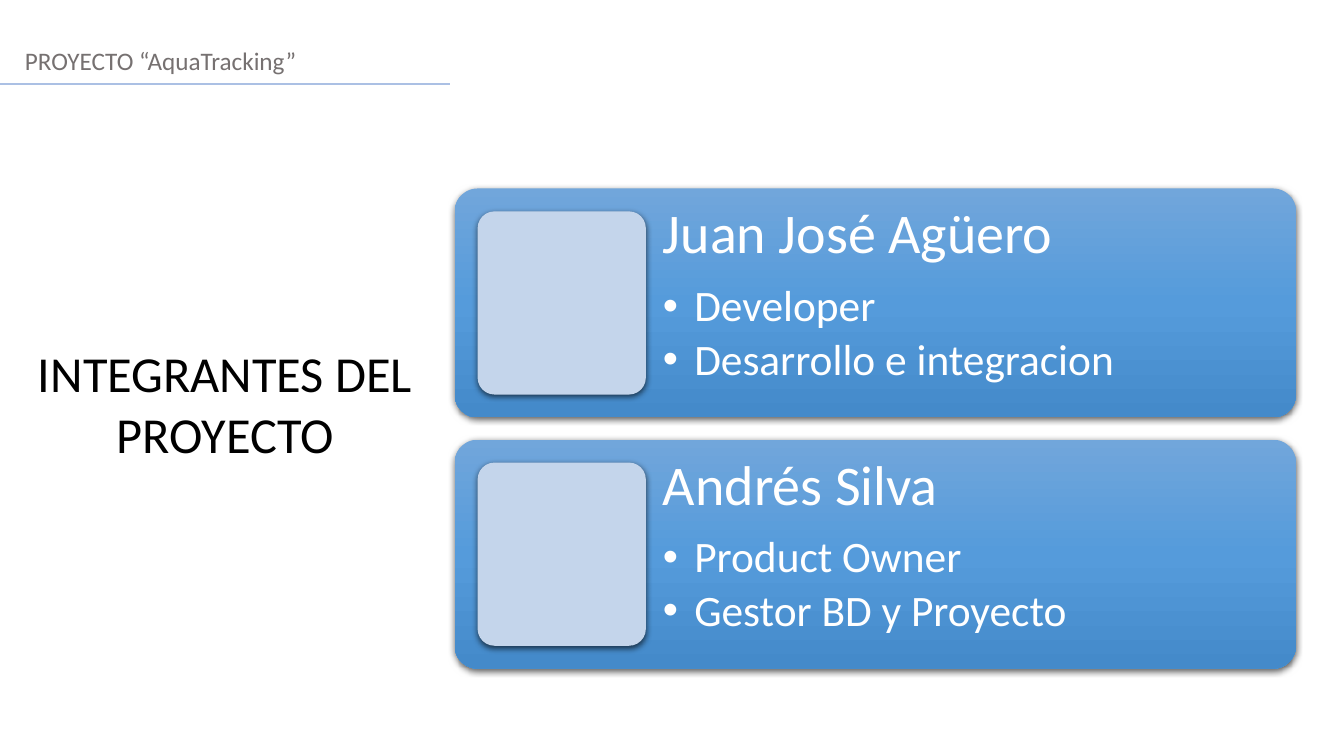
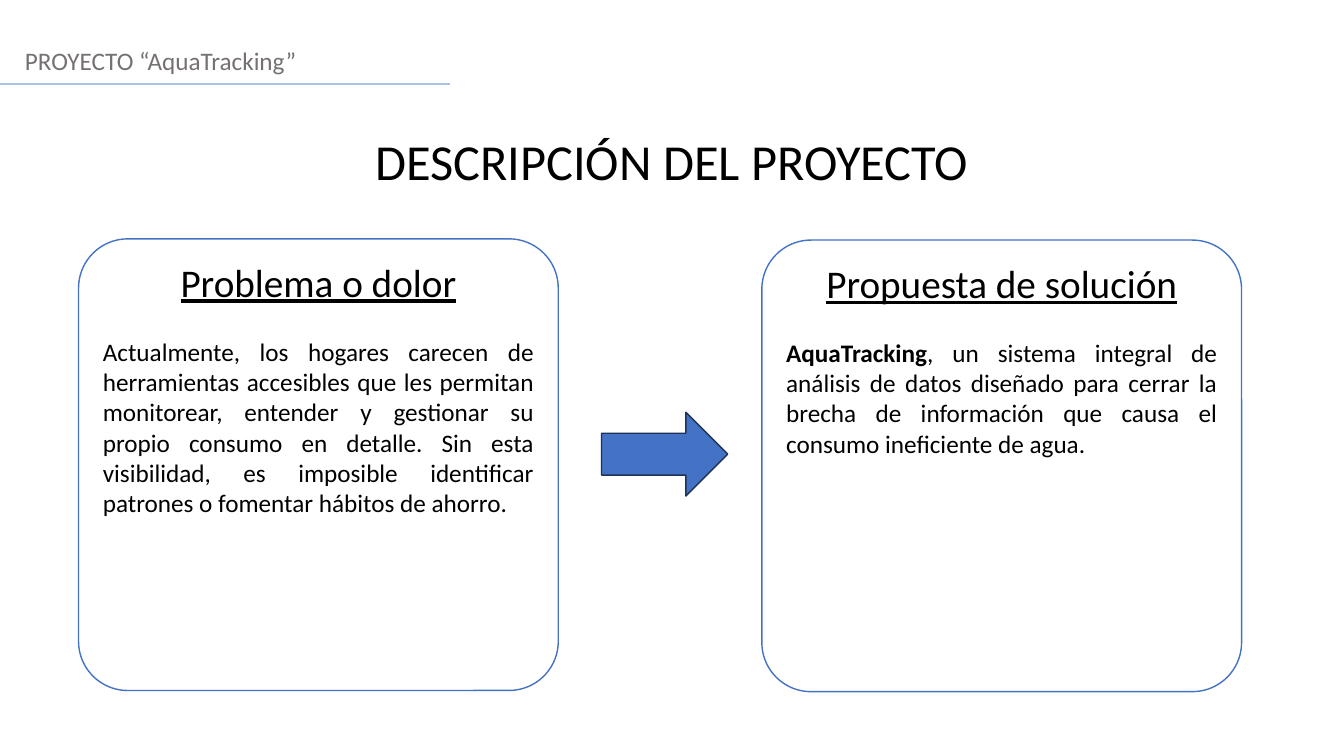
from copy import deepcopy

from lxml.etree import SubElement
from pptx import Presentation
from pptx.dml.color import RGBColor
from pptx.enum.shapes import MSO_CONNECTOR as Link, MSO_SHAPE as Shape
from pptx.enum.text import MSO_ANCHOR as Anchor, MSO_AUTO_SIZE as Fit, PP_ALIGN as Align
from pptx.oxml.ns import qn
from pptx.util import Cm, Pt

FONT = "Calibri"
WIDE, HIGH = 33.87, 19.05
HUES = {
    "ink": "000000", "white": "FFFFFF", "grey": "767171", "rule": "ABC0E4",
    "blue": "4472C4", "navy": "1E3256", "photo": "C4D5EB",
}
BLEND = ["71A6DB", "559BDB", "448ACA"]

HEADER = "PROYECTO “AquaTracking”"
TEAM = {
    "title": "INTEGRANTES DEL PROYECTO",
    "people": [
        ("Juan José Agüero", ["Developer", "Desarrollo e integracion"]),
        ("Andrés Silva", ["Product Owner", "Gestor BD y Proyecto"]),
    ],
}
ABOUT = {
    "title": "DESCRIPCIÓN DEL PROYECTO",
    "panels": [
        ("Problema o dolor", [
            ("Actualmente, los hogares carecen de herramientas accesibles que les "
             "permitan monitorear, entender y gestionar su propio consumo en detalle. "
             "Sin esta visibilidad, es imposible identificar patrones o fomentar "
             "hábitos de ahorro.", False),
        ]),
        ("Propuesta de solución", [
            ("AquaTracking", True),
            (", un sistema integral de análisis de datos diseñado para cerrar la brecha "
             "de información que causa el consumo ineficiente de agua.", False),
        ]),
    ],
}


def rgb(name):
    return RGBColor.from_string(HUES.get(name, name))


def place(item, x, y, w, h):
    item.left, item.top, item.width, item.height = map(Cm, (x, y, w, h))


def write(par, text, size, hue="ink", bold=False, under=False):
    run = par.add_run()
    run.text = text
    font = run.font
    font.name, font.size, font.bold, font.underline = FONT, Pt(size), bold, under
    font.color.rgb = rgb(hue)


def add_shape(slide, kind, box, fill=None, line=None):
    item = slide.shapes.add_shape(kind, *map(Cm, box))
    item.shadow.inherit = False
    if fill:
        item.fill.solid()
        item.fill.fore_color.rgb = rgb(fill)
    if line:
        item.line.color.rgb = rgb(line)
        item.line.width = Pt(1)
    else:
        item.line.fill.background()
    return item


def add_slide(deck, layout, title, box):
    """Start a slide with the shared header, rule and title."""
    slide = deck.slides.add_slide(deck.slide_layouts[layout])
    head = slide.shapes.title
    place(head, *box)
    frame = head.text_frame
    frame.auto_size, frame.word_wrap = Fit.NONE, True
    frame.vertical_anchor = Anchor.MIDDLE
    frame.paragraphs[0].alignment = Align.CENTER
    write(frame.paragraphs[0], title, 36)

    note = slide.shapes.add_textbox(Cm(0.38), Cm(1.02), Cm(WIDE - 0.38), Cm(1.02))
    note.text_frame.word_wrap = True
    write(note.text_frame.paragraphs[0], HEADER, 18, "grey")
    rule = slide.shapes.add_connector(Link.STRAIGHT, 0, Cm(2.11), Cm(11.35), Cm(2.11))
    rule.line.color.rgb = rgb("rule")
    rule.line.width = Pt(1.25)
    SubElement(rule.element.spPr, qn("a:effectLst"))
    return slide


def cast(item):
    """Give a shape a soft shadow below it."""
    effects = item.element.spPr.find(qn("a:effectLst"))
    shade = SubElement(effects, qn("a:outerShdw"), blurRad=str(Pt(4.5)),
                       dist=str(Pt(1.5)), dir="5400000", rotWithShape="0")
    hue = SubElement(shade, qn("a:srgbClr"), val=HUES["ink"])
    SubElement(hue, qn("a:alpha"), val="63000")


def blend(item):
    """Fill a shape from top to bottom with evenly spaced colours."""
    item.fill.gradient()
    item.fill.gradient_angle = 270
    stops = item.element.spPr.find(qn("a:gradFill")).find(qn("a:gsLst"))
    stops.insert(1, deepcopy(stops[0]))
    for i, (stop, hue) in enumerate(zip(item.fill.gradient_stops, BLEND)):
        stop.position = i / (len(BLEND) - 1)
        stop.color.rgb = rgb(hue)


def add_line(par, text, size, after, dot):
    par.line_spacing = 0.9
    par.space_before, par.space_after = Pt(0), Pt(after)
    props = par._p.get_or_add_pPr()
    step = Cm(0.79) if dot else 0
    props.set("marL", str(step))
    props.set("indent", str(-step))
    if dot:
        SubElement(props, qn("a:buFont"), typeface="Arial")
        SubElement(props, qn("a:buChar"), char="•")
    else:
        SubElement(props, qn("a:buNone"))
    write(par, text, size, "white")


def add_card(slide, body, y, name, roles):
    x, w, h = 11.46, 21.2, 5.77
    pad, side = h / 10, w / 5
    card = add_shape(slide, Shape.ROUNDED_RECTANGLE, (x, y, w, h))
    photo = add_shape(slide, Shape.ROUNDED_RECTANGLE,
                      (x + pad, y + pad, side, h - 2 * pad), "photo")
    blend(card)
    for item in (card, photo):
        item.adjustments[0] = 0.1
        cast(item)

    card.element.addnext(body.element)
    place(body, x + pad + side, y, w - pad - side, h)
    frame = body.text_frame
    frame.auto_size, frame.word_wrap = Fit.NONE, True
    frame.vertical_anchor = Anchor.TOP
    frame.margin_left = frame.margin_right = Cm(0.43)
    frame.margin_top = frame.margin_bottom = Cm(0.43)
    add_line(frame.paragraphs[0], name, 40, 13, False)
    for role in roles:
        add_line(frame.add_paragraph(), role, 31, 4.6, True)


def add_panel(slide, x, y, head, runs):
    panel = add_shape(slide, Shape.ROUNDED_RECTANGLE, (x, y, 12.09, 11.38), "white", "blue")
    panel.adjustments[0] = 0.109
    frame = panel.text_frame
    frame.word_wrap = True
    frame.vertical_anchor = Anchor.TOP
    top = frame.paragraphs[0]
    top.alignment, top.space_after = Align.CENTER, Pt(22)
    write(top, head, 28, under=True)
    par = frame.add_paragraph()
    par.alignment = Align.JUSTIFY
    for text, bold in runs:
        write(par, text, 18, bold=bold)


def main():
    deck = Presentation()
    deck.slide_width, deck.slide_height = Cm(WIDE), Cm(HIGH)

    team = add_slide(deck, 3, TEAM["title"], (0.66, 8.48, 10.03, 3.33))
    bodies = list(team.placeholders)[1:]
    for i, (body, person) in enumerate(zip(bodies, TEAM["people"])):
        add_card(team, body, 4.75 + i * 6.33, *person)

    about = add_slide(deck, 5, ABOUT["title"], (0, 3.15, WIDE, 1.8))
    for i, panel in enumerate(ABOUT["panels"]):
        add_panel(about, 1.98 + i * 17.22, 6.02 + i * 0.03, *panel)
    add_shape(about, Shape.RIGHT_ARROW, (15.16, 10.39, 3.18, 2.11), "blue", "navy")

    deck.save("out.pptx")


if __name__ == "__main__":
    main()
